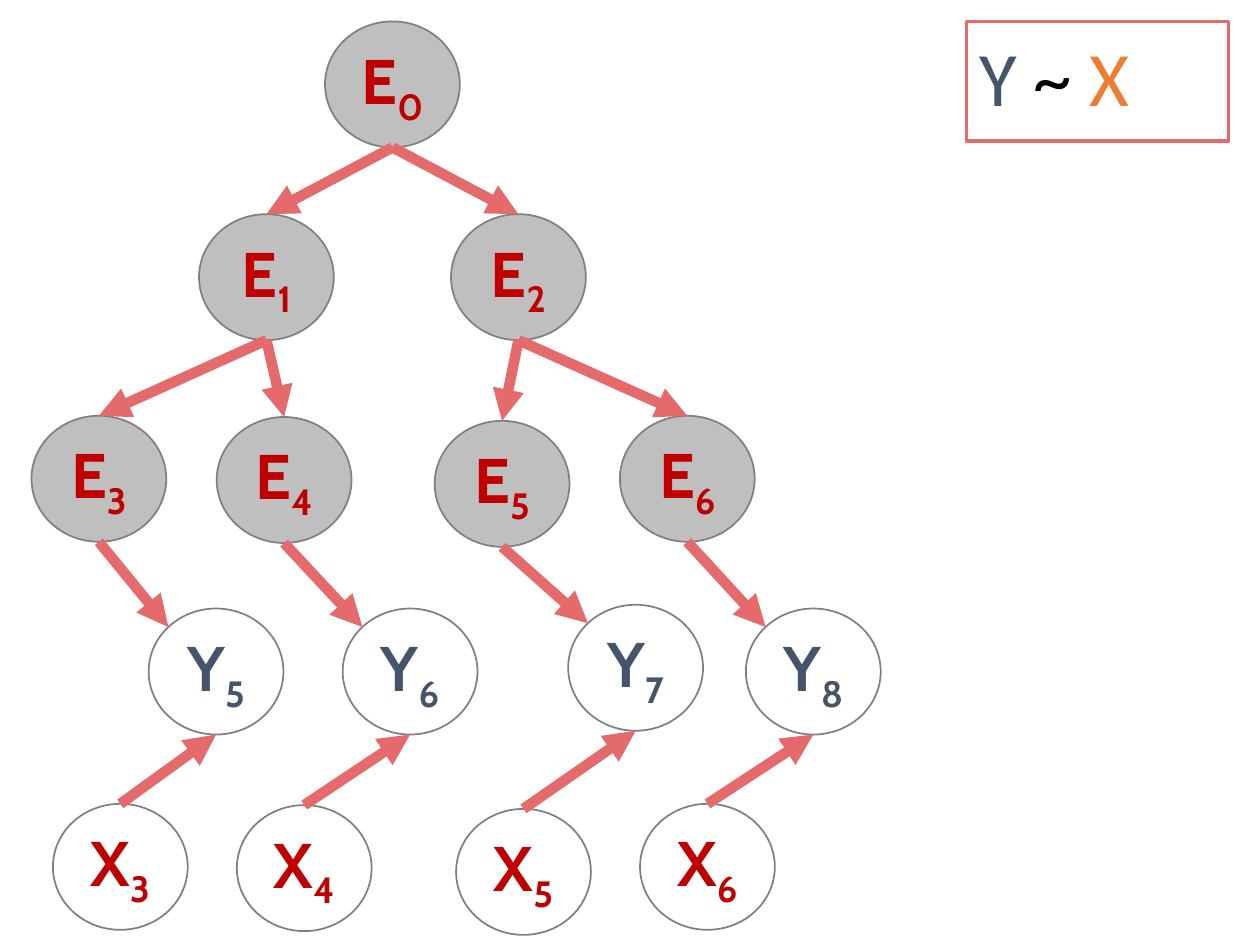
from typing import NamedTuple

from pptx import Presentation
from pptx.dml.color import RGBColor
from pptx.enum.shapes import MSO_CONNECTOR as Connector, MSO_SHAPE as Shape
from pptx.enum.text import MSO_ANCHOR as Anchor, PP_ALIGN as Align
from pptx.oxml import parse_xml
from pptx.oxml.ns import nsdecls
from pptx.util import Emu, Pt

PX = 9144  # 100 px to the inch
NODE_W, NODE_H = 107, 100
CORNER = 0.5 - 0.5 ** 1.5  # share of the box before an ellipse's diagonal point
COLORS = {
    "white": "FFFFFF", "grey": "BFBFBF", "outline": "808080", "coral": "E46A6B",
    "red": "C00000", "slate": "44546A", "black": "000000", "orange": "ED7D31",
}
KINDS = {"E": ("grey", "red"), "Y": ("white", "slate"), "X": ("white", "red")}


class Node(NamedTuple):
    name: str
    left: int
    top: int


class Edge(NamedTuple):
    parent: str
    child: str


NODES = [
    Node("E0", 258, 17), Node("E1", 158, 170), Node("E2", 358, 170),
    Node("E3", 25, 330), Node("E4", 172, 331), Node("E5", 345, 334), Node("E6", 492, 330),
    Node("Y5", 118, 483), Node("Y6", 272, 483), Node("Y7", 451, 480), Node("Y8", 592, 483),
    Node("X3", 42, 638), Node("X4", 188, 639), Node("X5", 362, 642), Node("X6", 508, 638),
]
TREE_EDGES = [Edge(f"E{(i - 1) // 2}", f"E{i}") for i in range(1, 7)]
OUTPUT_EDGES = [Edge(f"E{i}", f"Y{i + 2}") for i in range(3, 7)]
INPUT_EDGES = [Edge(f"X{i}", f"Y{i + 2}") for i in range(3, 7)]


def px(length: float) -> Emu:
    return Emu(round(length * PX))


def rgb(color: str) -> RGBColor:
    return RGBColor.from_string(COLORS[color])


def paint(shape, fill: str, line: str, width: float) -> None:
    shape.fill.solid()
    shape.fill.fore_color.rgb = rgb(fill)
    shape.line.color.rgb = rgb(line)
    shape.line.width = Pt(width)


def add_run(paragraph, text: str, color: str, **font_values):
    run = paragraph.add_run()
    run.text = text
    run.font.color.rgb = rgb(color)
    for attribute, value in font_values.items():
        setattr(run.font, attribute, value)
    return run


def draw_node(slide, node: Node):
    fill, ink = KINDS[node.name[0]]
    circle = slide.shapes.add_shape(
        Shape.OVAL, px(node.left), px(node.top), px(NODE_W), px(NODE_H))
    circle.shadow.inherit = False
    paint(circle, fill, "outline", 1)
    frame = circle.text_frame
    frame.word_wrap = False
    frame.vertical_anchor = Anchor.MIDDLE
    label = frame.paragraphs[0]
    label.alignment = Align.CENTER
    letter, index = node.name
    font = {"name": "Cabin", "size": Pt(36), "bold": True}
    add_run(label, letter, ink, **font)
    subscript = add_run(label, index, ink, **font)
    subscript.font._element.set("baseline", "-25000")
    return circle


def draw_arrow(slide, start: tuple[int, int], end: tuple[int, int]):
    arrow = slide.shapes.add_connector(Connector.STRAIGHT, *start, *end)
    arrow.line.color.rgb = rgb("coral")
    arrow.line.width = Pt(6)
    arrow.line._get_or_add_ln().append(
        parse_xml(f'<a:tailEnd {nsdecls("a")} type="triangle"/>'))
    arrow._element.spPr.append(parse_xml(f'<a:effectLst {nsdecls("a")}/>'))
    return arrow


def point(circle, across: float, down: float) -> tuple[int, int]:
    """Spot on a circle's box, given as shares of its width and height."""
    return (round(circle.left + across * circle.width),
            round(circle.top + down * circle.height))


def draw_title(slide) -> None:
    title = slide.shapes.title
    title.left, title.top, title.width, title.height = map(px, (767, 17, 208, 95))
    paint(title, "white", "coral", 2)
    title.text_frame.vertical_anchor = Anchor.MIDDLE
    relation = title.text_frame.paragraphs[0]
    relation.alignment = Align.LEFT
    relation.line_spacing = 0.9
    for text, color in (("Y", "slate"), (" ~ ", "black"), ("X", "orange")):
        add_run(relation, text, color, name="Calibri", size=Pt(44))


def main() -> None:
    deck = Presentation()
    deck.slide_width, deck.slide_height = px(1000), px(750)
    slide = deck.slides.add_slide(deck.slide_layouts[5])
    draw_title(slide)
    circles = {node.name: draw_node(slide, node) for node in NODES}

    for edge in TREE_EDGES:
        parent, child = circles[edge.parent], circles[edge.child]
        arrow = draw_arrow(slide, point(parent, 0.5, 1), point(child, 0.5, 0))
        arrow.end_connect(child, 0)
    for edge in OUTPUT_EDGES:
        parent, child = circles[edge.parent], circles[edge.child]
        draw_arrow(slide, point(parent, 0.5, 1), point(child, CORNER, CORNER))
    for edge in INPUT_EDGES:
        parent, child = circles[edge.parent], circles[edge.child]
        arrow = draw_arrow(slide, point(parent, 0.5, 0), point(child, 0.5, 1))
        arrow.begin_connect(parent, 0)

    deck.save("out.pptx")


if __name__ == "__main__":
    main()
